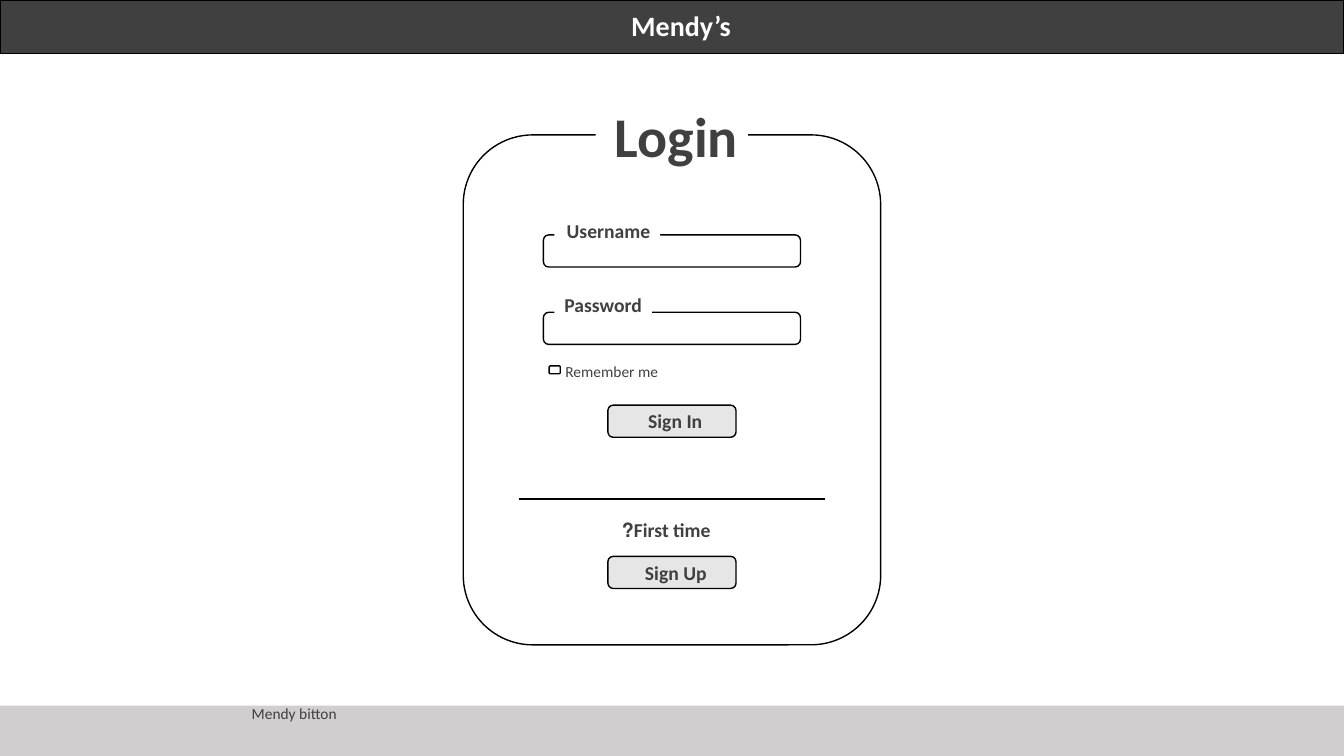
from pptx import Presentation
from pptx.dml.color import RGBColor
from pptx.enum.shapes import MSO_CONNECTOR, MSO_SHAPE
from pptx.enum.text import MSO_ANCHOR, MSO_AUTO_SIZE, PP_ALIGN
from pptx.oxml.ns import qn
from pptx.util import Cm, Pt

RECTANGLE = MSO_SHAPE.RECTANGLE
ROUNDED = MSO_SHAPE.ROUNDED_RECTANGLE
STRAIGHT = MSO_CONNECTOR.STRAIGHT
RIGHT = PP_ALIGN.RIGHT
FRAME_FORMAT = {"word_wrap": True, "auto_size": MSO_AUTO_SIZE.SHAPE_TO_FIT_TEXT,
                "vertical_anchor": MSO_ANCHOR.TOP}

THEME = {
    "font": "Calibri",
    "colors": {"dark": "404040", "white": "FFFFFF", "outline": "000000",
               "button": "E7E6E6", "footer": "D0CECE"},
    "text": {
        "brand": {"size": Pt(20), "bold": True, "color": "white"},
        "heading": {"size": Pt(40), "bold": True, "color": "dark"},
        "label": {"size": Pt(14), "bold": True, "color": "dark"},
        "small": {"size": Pt(11), "bold": False, "color": "dark"},
    },
    "line": Pt(1),
}

SLIDE_WIDTH, SLIDE_HEIGHT = 33.87, 19.05
BAR_HEIGHT = 1.35
CARD_TOP, CARD_SIZE = 3.4, (10.52, 12.85)
FIELD_SIZE, BUTTON_SIZE, CHECKBOX_SIZE = (6.48, 0.81), (3.23, 0.81), (0.28, 0.2)
DIVIDER_WIDTH, DIVIDER_TOP = 7.7, 12.57
LABEL_LEFT, LABEL_HEIGHT, SMALL_HEIGHT = 13.97, 0.86, 0.74

FIELDS = [("Username", 5.92, 5.38, 2.67), ("Password", 7.87, 7.26, 2.46)]
BUTTONS = [("Sign In", 10.21, 15.49, 10.19), ("Sign Up", 14.02, 15.6, 14.02)]
BUTTON_LABEL_WIDTH = 2.46
CAPTIONS = [
    ("Mendy’s", "brand", (13.59, 0.1, 5.08, 1.12), None),
    ("Login", "heading", (15.01, 2.44, 3.84, 1.96), "white"),
    ("Remember me", "small", (LABEL_LEFT, 8.99, 2.87, SMALL_HEIGHT), None),
    ("First time?", "label", (15.29, 12.93, 2.87, LABEL_HEIGHT), None),
    ("Mendy bitton", "small", (5.97, 17.63, 2.77, SMALL_HEIGHT), None),
]


def color(name):
    return RGBColor.from_string(THEME["colors"][name])


def apply_format(target, values):
    for name, value in values.items():
        setattr(target, name, value)


def paint(shape, fill):
    if fill:
        shape.fill.solid()
        shape.fill.fore_color.rgb = color(fill)
    else:
        shape.fill.background()


def outline(line):
    line.color.rgb = color("outline")
    line.width = THEME["line"]


def centered(width):
    return (SLIDE_WIDTH - width) / 2


def add_box(slide, kind, box, fill=None, outlined=True):
    shape = slide.shapes.add_shape(kind, *map(Cm, box))
    shape.shadow.inherit = False
    paint(shape, fill)
    if outlined:
        outline(shape.line)
    else:
        shape.line.fill.background()


def add_centered_box(slide, top, size, fill=None):
    add_box(slide, ROUNDED, (centered(size[0]), top, *size), fill)


def add_caption(slide, text, style, box, fill=None):
    shape = slide.shapes.add_textbox(*map(Cm, box))
    paint(shape, fill)
    apply_format(shape.text_frame, FRAME_FORMAT)
    paragraph = shape.text_frame.paragraphs[0]
    paragraph.alignment = RIGHT
    paragraph._p.get_or_add_pPr().set("rtl", "1")
    run = paragraph.add_run()
    run.text = text
    values = dict(THEME["text"][style])
    run.font.color.rgb = color(values.pop("color"))
    apply_format(run.font, {"name": THEME["font"], **values})


def add_divider(slide):
    left = centered(DIVIDER_WIDTH)
    ends = (left, DIVIDER_TOP, left + DIVIDER_WIDTH, DIVIDER_TOP)
    connector = slide.shapes.add_connector(STRAIGHT, *map(Cm, ends))
    outline(connector.line)
    properties = connector._element.spPr
    properties.append(properties.makeelement(qn("a:effectLst"), {}))


presentation = Presentation()
presentation.slide_width = Cm(SLIDE_WIDTH)
presentation.slide_height = Cm(SLIDE_HEIGHT)
slide = presentation.slides.add_slide(presentation.slide_layouts[6])

add_box(slide, RECTANGLE, (0, 0, SLIDE_WIDTH, BAR_HEIGHT), "dark")
add_box(slide, RECTANGLE, (0, 17.78, SLIDE_WIDTH, BAR_HEIGHT), "footer", False)
add_centered_box(slide, CARD_TOP, CARD_SIZE)

for text, top, label_top, label_width in FIELDS:
    add_centered_box(slide, top, FIELD_SIZE)
    label_box = (LABEL_LEFT, label_top, label_width, LABEL_HEIGHT)
    add_caption(slide, text, "label", label_box, "white")

add_box(slide, ROUNDED, (13.84, 9.22, *CHECKBOX_SIZE))
add_divider(slide)

for text, top, label_left, label_top in BUTTONS:
    add_centered_box(slide, top, BUTTON_SIZE, "button")
    label_box = (label_left, label_top, BUTTON_LABEL_WIDTH, LABEL_HEIGHT)
    add_caption(slide, text, "label", label_box)

for caption in CAPTIONS:
    add_caption(slide, *caption)

presentation.save("out.pptx")
